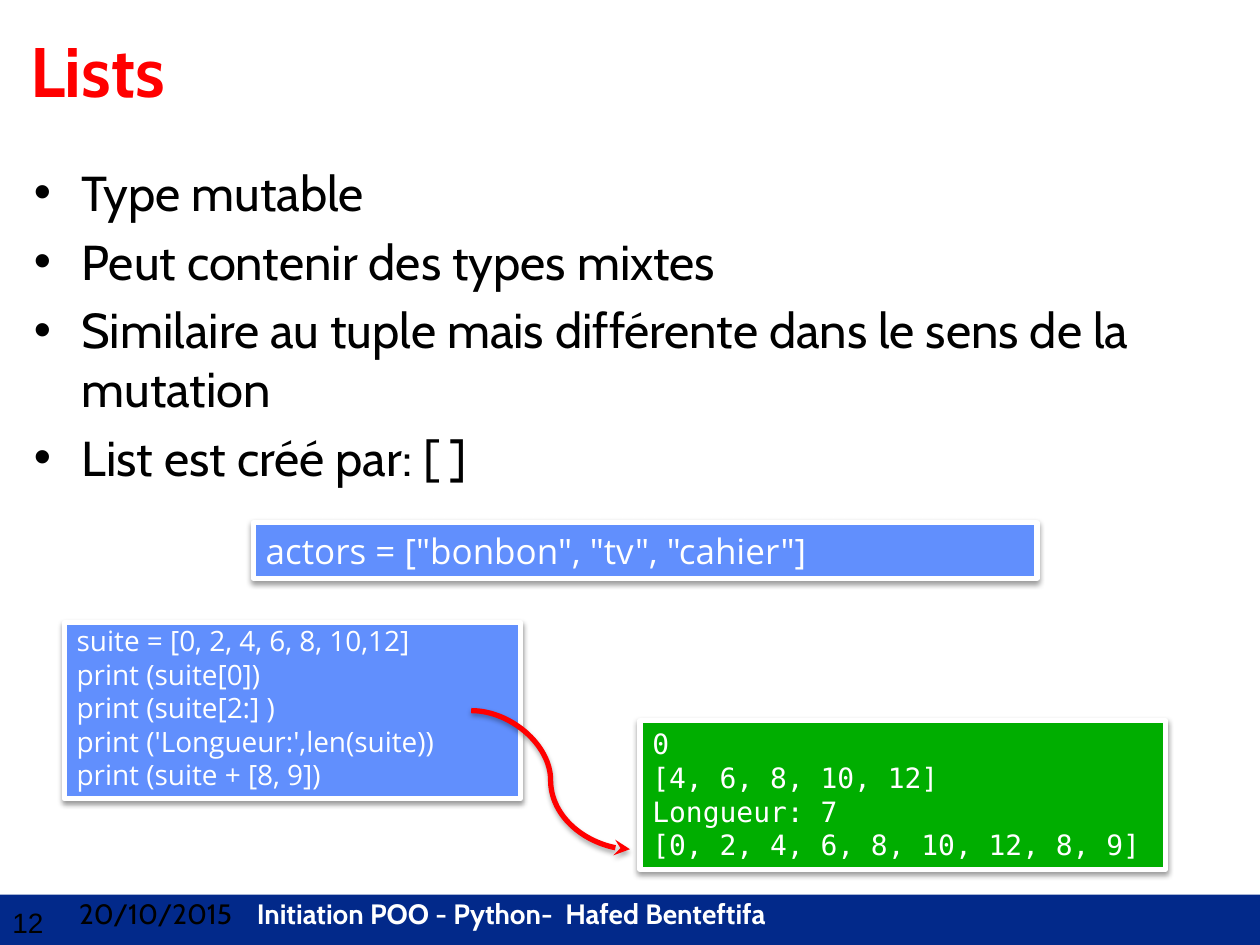
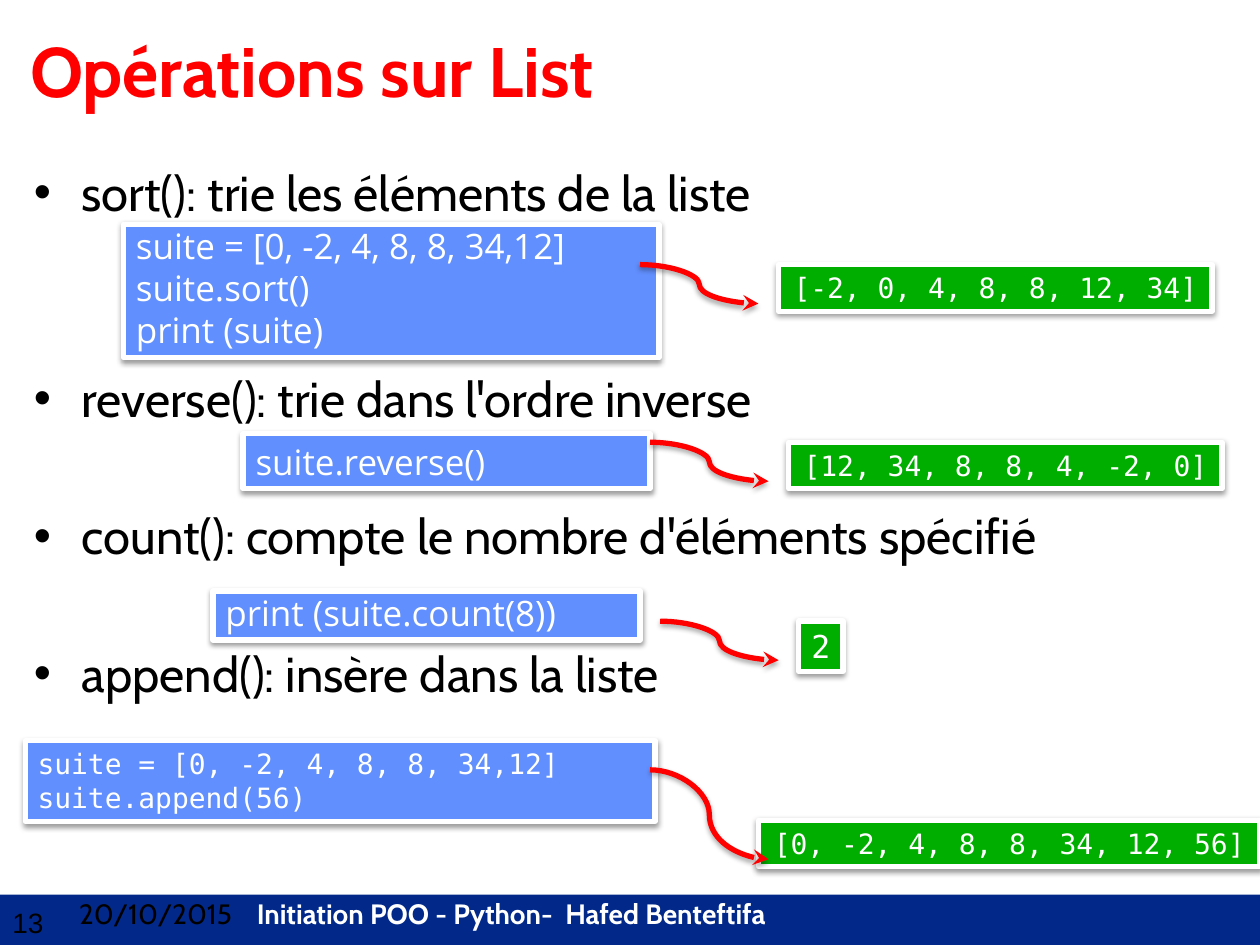
from dataclasses import dataclass

import lxml.etree
import pptx
import pptx.dml.color
import pptx.enum.shapes
import pptx.enum.text
import pptx.oxml.ns
import pptx.util

Inches = pptx.util.Inches
Pt = pptx.util.Pt
qn = pptx.oxml.ns.qn
Align = pptx.enum.text.PP_ALIGN
Anchor = pptx.enum.text.MSO_ANCHOR

BLACK, WHITE, RED = "000000", "FFFFFF", "FF0000"
NAVY, CODE_BLUE, OUTPUT_GREEN = "02298A", "618FFD", "00AE00"
BODY_FONT, CODE_FONT, MONO_FONT = "Cabin", "Open Sans", "DejaVu Sans Mono"
BULLET_GAP = 5.6


@dataclass
class Listing:
    """A framed block of code, or of the output it prints."""
    left: float
    top: float
    width: float
    height: float
    lines: list[str]
    fill: str = CODE_BLUE
    font: str = CODE_FONT
    size: float = 20
    align: Align = Align.LEFT
    anchor: Anchor = Anchor.MIDDLE
    inset_top: float = 0.05


@dataclass
class Arrow:
    left: float
    top: float
    width: float
    height: float


@dataclass
class Bullet:
    text: str
    gap: float = BULLET_GAP


def rgb(color: str) -> pptx.dml.color.RGBColor:
    return pptx.dml.color.RGBColor.from_string(color)


def write(paragraph, text: str, *, size: float, font: str = BODY_FONT,
          color: str = BLACK, bold: bool = False) -> None:
    run = paragraph.add_run()
    run.text = text
    run.font.size = Pt(size)
    run.font.name = font
    run.font.bold = bold
    run.font.color.rgb = rgb(color)


def next_paragraph(frame, index: int):
    return frame.add_paragraph() if index else frame.paragraphs[0]


def set_frame(frame, anchor: Anchor = Anchor.TOP, inset_top: float = 0.05) -> None:
    frame.word_wrap = True
    frame.vertical_anchor = anchor
    frame.margin_left = frame.margin_right = Inches(0.1)
    frame.margin_top, frame.margin_bottom = Inches(inset_top), Inches(0.05)


def add_text_frame(slide, left: float, top: float, width: float, height: float):
    frame = slide.shapes.add_textbox(
        Inches(left), Inches(top), Inches(width), Inches(height)).text_frame
    set_frame(frame)
    return frame


def add_rectangle(slide, left: float, top: float, width: float, height: float, fill: str):
    rectangle = slide.shapes.add_shape(
        pptx.enum.shapes.MSO_SHAPE.RECTANGLE,
        Inches(left), Inches(top), Inches(width), Inches(height))
    rectangle.shadow.inherit = False
    rectangle.fill.solid()
    rectangle.fill.fore_color.rgb = rgb(fill)
    rectangle.line.fill.background()
    return rectangle


def set_line(line, color: str) -> None:
    line.color.rgb = rgb(color)
    line.width = Pt(3)


def drop_shadow(properties, distance: float, opacity: int) -> None:
    """Cast a soft black shadow straight down; opacity is in percent."""
    effects = properties.find(qn("a:effectLst"))
    if effects is None:
        effects = lxml.etree.SubElement(properties, qn("a:effectLst"))
    shadow = lxml.etree.SubElement(
        effects, qn("a:outerShdw"), blurRad=str(Pt(3.1)), dist=str(Pt(distance)),
        dir="5400000", rotWithShape="0")
    black = lxml.etree.SubElement(shadow, qn("a:srgbClr"), val=BLACK)
    lxml.etree.SubElement(black, qn("a:alpha"), val=str(opacity * 1000))


def add_listing(slide, listing: Listing) -> None:
    panel = add_rectangle(slide, listing.left, listing.top,
                          listing.width, listing.height, listing.fill)
    set_line(panel.line, WHITE)
    drop_shadow(panel._element.spPr, 1.6, 38)
    set_frame(panel.text_frame, listing.anchor, listing.inset_top)
    for index, line in enumerate(listing.lines):
        paragraph = next_paragraph(panel.text_frame, index)
        paragraph.alignment = listing.align
        write(paragraph, line, size=listing.size, font=listing.font, color=WHITE)


def add_arrow(slide, arrow: Arrow) -> None:
    curve = slide.shapes.add_connector(
        pptx.enum.shapes.MSO_CONNECTOR.CURVE,
        Inches(arrow.left), Inches(arrow.top),
        Inches(arrow.left + arrow.width), Inches(arrow.top + arrow.height))
    set_line(curve.line, RED)
    properties = curve._element.spPr
    lxml.etree.SubElement(properties.find(qn("a:ln")), qn("a:tailEnd"), type="stealth")
    drop_shadow(properties, 1.8, 35)


def add_bullets(slide, height: float, bullets: list[Bullet]) -> None:
    frame = add_text_frame(slide, 0.17, 1.24, 9.67, height)
    for index, bullet in enumerate(bullets):
        paragraph = next_paragraph(frame, index)
        if index:
            paragraph.space_before = Pt(bullet.gap)
        indents = paragraph._p.get_or_add_pPr()
        indents.set("marL", str(Inches(0.38)))
        indents.set("indent", str(-Inches(0.38)))
        bullet_color = lxml.etree.SubElement(indents, qn("a:buClr"))
        lxml.etree.SubElement(bullet_color, qn("a:srgbClr"), val=BLACK)
        lxml.etree.SubElement(indents, qn("a:buFont"), typeface="Arial")
        lxml.etree.SubElement(indents, qn("a:buChar"), char="•")
        write(paragraph, bullet.text, size=28)


def add_footer(slide, number: int) -> None:
    add_rectangle(slide, 0, 7.1, 10, 0.4, NAVY)
    page = add_text_frame(slide, 0, 7.14, 0.58, 0.63).paragraphs[0]
    write(page, str(number), size=16, font="Arial")
    course = add_text_frame(slide, 0.53, 7.07, 9.47, 0.64).paragraphs[0]
    tabs = lxml.etree.SubElement(course._p.get_or_add_pPr(), qn("a:tabLst"))
    lxml.etree.SubElement(tabs, qn("a:tab"), pos=str(Inches(1.41)), algn="l")
    write(course, "20/10/2015\t", size=16)
    write(course, "Initiation POO - Python-  Hafed Benteftifa",
          size=16, color=WHITE, bold=True)


def add_slide(deck, number: int, title: str):
    slide = deck.slides.add_slide(deck.slide_layouts[6])
    add_footer(slide, number)
    heading = add_text_frame(slide, 0.14, 0.17, 9.68, 0.93).paragraphs[0]
    write(heading, title, size=40, color=RED, bold=True)
    return slide


def output(left: float, top: float, width: float, height: float, lines: list[str],
           size: float = 16, align: Align = Align.CENTER) -> Listing:
    return Listing(left, top, width, height, lines, OUTPUT_GREEN, MONO_FONT,
                   size, align, Anchor.TOP)


def build_lists(deck) -> None:
    slide = add_slide(deck, 12, "Lists")
    add_bullets(slide, 2.98, [
        Bullet("Type mutable"),
        Bullet("Peut contenir des types mixtes"),
        Bullet("Similaire au tuple mais différente dans le sens de la mutation"),
        Bullet("List est créé par: [ ]"),
    ])
    add_listing(slide, Listing(2.01, 4.15, 6.22, 0.44,
                               ['actors = ["bonbon", "tv", "cahier"]']))
    add_listing(slide, Listing(0.51, 4.94, 3.62, 1.4, [
        "suite = [0, 2, 4, 6, 8, 10,12]",
        "print (suite[0])",
        "print (suite[2:] )",
        "print ('Longueur:',len(suite))",
        "print (suite + [8, 9])",
    ], size=16, inset_top=0))
    add_listing(slide, output(5.08, 5.72, 4.17, 1.18, [
        "0",
        "[4, 6, 8, 10, 12]",
        "Longueur: 7",
        "[0, 2, 4, 6, 8, 10, 12, 8, 9]",
    ], align=Align.LEFT))
    add_arrow(slide, Arrow(3.74, 5.64, 1.26, 1.1))


def build_operations(deck) -> None:
    slide = add_slide(deck, 13, "Opérations sur List")
    add_bullets(slide, 4.5, [
        Bullet("sort(): trie les éléments de la liste"),
        Bullet("reverse(): trie dans l'ordre inverse", gap=84.2),
        Bullet("count(): compte le nombre d'éléments spécifié", gap=44.9),
        Bullet("append(): insère dans la liste", gap=44.9),
    ])
    calls = [
        Listing(0.98, 1.78, 4.25, 1.06,
                ["suite = [0, -2, 4, 8, 8, 34,12]", "suite.sort()", "print (suite)"],
                inset_top=0),
        Listing(1.93, 3.44, 3.23, 0.44, ["suite.reverse()"]),
        Listing(1.69, 4.69, 3.39, 0.39, ["print (suite.count(8))"], inset_top=0),
        Listing(0.2, 5.88, 5, 0.64,
                ["suite = [0, -2, 4, 8, 8, 34,12]", "suite.append(56)"],
                font=MONO_FONT, size=16, anchor=Anchor.TOP),
    ]
    results = [
        output(6.18, 2.1, 3.44, 0.37, ["[-2, 0, 4, 8, 8, 12, 34]"]),
        output(6.26, 3.51, 3.44, 0.37, ["[12, 34, 8, 8, 4, -2, 0]"]),
        output(6.34, 4.93, 0.35, 0.4, ["2"], size=18),
        output(6.02, 6.51, 3.98, 0.37, ["[0, -2, 4, 8, 8, 34, 12, 56]"]),
    ]
    for listing in calls + results:
        add_listing(slide, listing)
    for result in results[:3]:
        add_arrow(slide, Arrow(result.left - 1.1, result.top, 0.94, 0.31))
    add_arrow(slide, Arrow(5.16, 6.11, 0.94, 0.71))


def main() -> None:
    deck = pptx.Presentation()
    deck.slide_width, deck.slide_height = Inches(10), Inches(7.5)
    build_lists(deck)
    build_operations(deck)
    deck.save("out.pptx")


if __name__ == "__main__":
    main()
